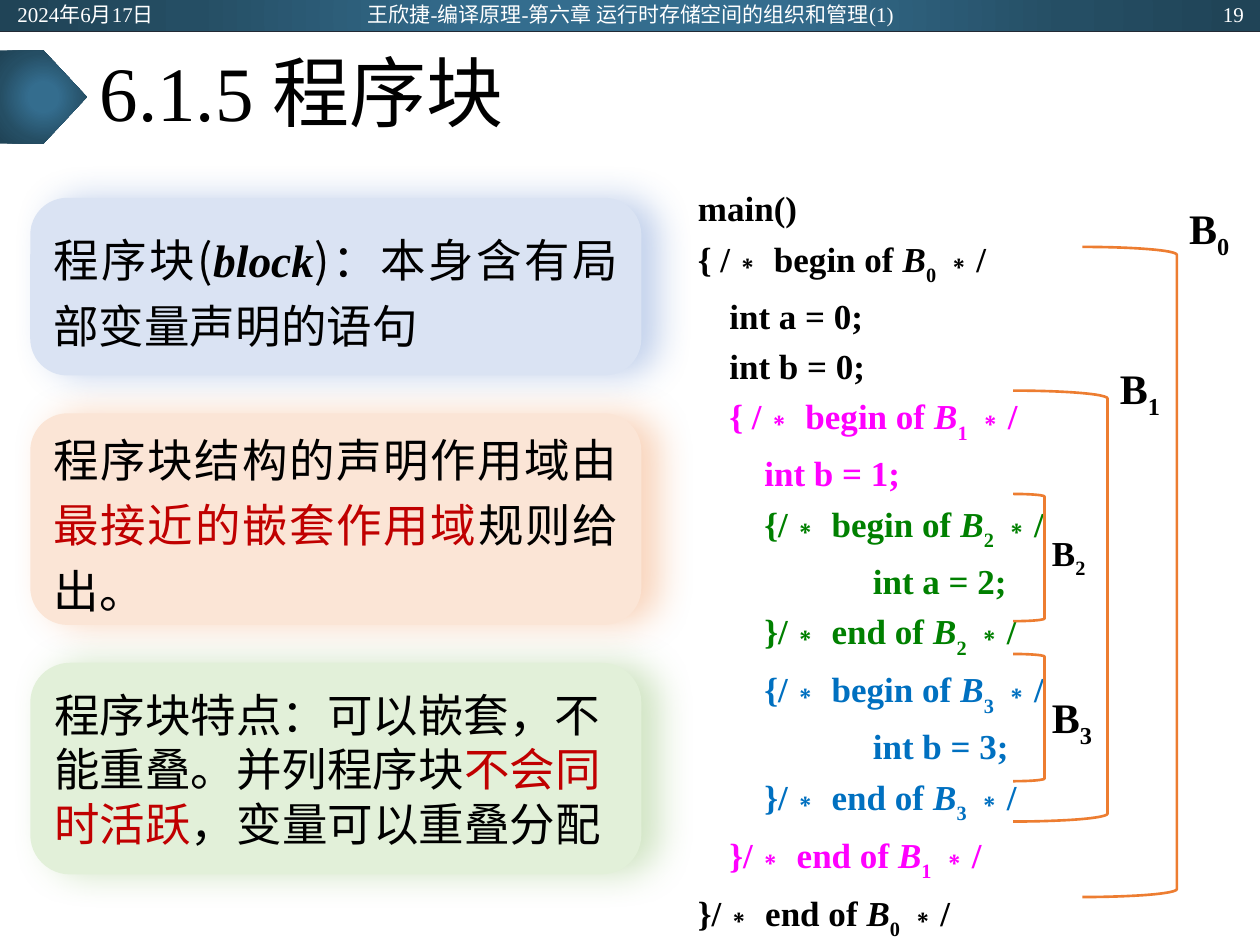
from dataclasses import dataclass

from lxml import etree
from pptx import Presentation
from pptx.dml.color import RGBColor
from pptx.enum.shapes import MSO_CONNECTOR, MSO_SHAPE
from pptx.enum.text import MSO_ANCHOR, PP_ALIGN
from pptx.oxml import parse_xml
from pptx.oxml.ns import qn
from pptx.util import Inches, Pt

RECT, PENTAGON = MSO_SHAPE.RECTANGLE, MSO_SHAPE.PENTAGON
ROUND, BRACKET = MSO_SHAPE.ROUNDED_RECTANGLE, MSO_SHAPE.RIGHT_BRACKET
LEFT, CENTER, RIGHT, JUSTIFY = PP_ALIGN.LEFT, PP_ALIGN.CENTER, PP_ALIGN.RIGHT, PP_ALIGN.JUSTIFY
MIDDLE, TOP = MSO_ANCHOR.MIDDLE, MSO_ANCHOR.TOP
DRAWING_NS = "http://schemas.openxmlformats.org/drawingml/2006/main"


@dataclass(frozen=True)
class Theme:
    """Colours, fonts and type sizes of the slide."""
    latin: str = "Times New Roman"
    cjk: str = "Noto Sans CJK SC"
    black: str = "000000"
    white: str = "FFFFFF"
    red: str = "C00000"
    magenta: str = "FF00FF"
    green: str = "008000"
    blue: str = "0070C0"
    orange: str = "ED7D31"
    rule: str = "222A35"
    gradient: tuple = ((0, "346D8E"), (23, "346D8E"), (69, "254E64"), (97, "204457"))
    title: int = 44
    card: int = 26
    label: int = 24
    code: int = 20
    header: int = 12


T = Theme()

CODE = [
    ("main()", None, T.black),
    ("{ /∗ begin of ", 0, T.black),
    ("\tint a = 0;", None, T.black),
    ("\tint b = 0;", None, T.black),
    ("\t{ /∗ begin of ", 1, T.magenta),
    ("\t    int b = 1;", None, T.magenta),
    ("\t    {/∗ begin of ", 2, T.green),
    ("\t\t  int a = 2;", None, T.green),
    ("\t    }/∗ end of ", 2, T.green),
    ("\t    {/∗ begin of ", 3, T.blue),
    ("\t\t  int b = 3;", None, T.blue),
    ("\t    }/∗ end of ", 3, T.blue),
    ("\t}/∗ end of ", 1, T.magenta),
    ("}/∗ end of ", 0, T.black),
]

BLOCKS = [
    ("2", (8.04, 3.92, 0.25, 1.01), (8.25, 4.17, 0.48, 0.44), T.code),
    ("3", (8.04, 5.19, 0.25, 1.01), (8.25, 5.44, 0.54, 0.5), T.label),
    ("1", (8.04, 3.1, 0.75, 3.42), (8.79, 2.83, 0.54, 0.5), T.label),
    ("0", (8.59, 1.96, 0.75, 5.16), (9.34, 1.56, 0.54, 0.5), T.label),
]

HEADERS = [
    ("2024年6月17日", (0.04, 0.01, 2.25, 0.2), LEFT),
    ("王欣捷-编译原理-第六章 运行时存储空间的组织和管理(1)", (2.51, -0.03, 4.99, 0.28), CENTER),
    ("19", (7.72, 0.01, 2.25, 0.2), RIGHT),
]

CARDS = [
    (1.57, 1.41, 0.208, "DAE3F3", "4472C4", JUSTIFY, 1.2,
     [("程序块(", {"font": T.cjk}), ("block", {"bold": True, "italic": True}),
      (")：本身含有局部变量声明的语句", {"font": T.cjk})]),
    (3.28, 1.68, 0.177, "FBE5D6", "ED7D31", JUSTIFY, 1.2,
     [("程序块结构的声明作用域由", {}), ("最接近的嵌套作用域", {"color": T.red}),
      ("规则给出。", {})]),
    (5.26, 1.68, 0.188, "E2F0D9", "70AD47", LEFT, 1.0,
     [("程序块特点：可以嵌套，不能重叠。并列程序块", {}),
      ("不会同时活跃", {"color": T.red}), ("，变量可以重叠分配", {})]),
]


def box(at):
    """Turn inches into lengths."""
    return [Inches(v) for v in at]


def add_run(p, text, size, color=T.black, font=T.latin, bold=False, italic=False, base=0):
    """Add one formatted run to a paragraph."""
    r = p.add_run()
    r.text = text
    r.font.size, r.font.name = Pt(size), font
    r.font.bold, r.font.italic = bold, italic
    r.font.color.rgb = RGBColor.from_string(color)
    rPr = r.font._element
    etree.SubElement(rPr, qn("a:ea")).set("typeface", T.cjk)
    if base:
        rPr.set("baseline", str(base * 1000))


def add_text(shapes, at, anchor=TOP, wrap=True):
    """Add a text box and return its text frame."""
    tf = shapes.add_textbox(*box(at)).text_frame
    tf.word_wrap, tf.vertical_anchor = wrap, anchor
    return tf


def add_shape(shapes, kind, at):
    """Add a preset shape with no shadow, fill or line."""
    sp = shapes.add_shape(kind, *box(at))
    sp.fill.background()
    sp.line.fill.background()
    sp.shadow.inherit = False
    return sp


def add_gradient_shape(s, kind, at):
    """Add a shape filled with the radial theme gradient."""
    spPr = add_shape(s.shapes, kind, at)._element.spPr
    stops = "".join(f'<a:gs pos="{pos * 1000}"><a:srgbClr val="{color}"/></a:gs>'
                    for pos, color in T.gradient)
    spPr.replace(spPr.find(qn("a:noFill")), parse_xml(
        f'<a:gradFill xmlns:a="{DRAWING_NS}"><a:gsLst>{stops}</a:gsLst><a:path path="circle">'
        '<a:fillToRect l="50000" t="50000" r="50000" b="50000"/></a:path></a:gradFill>'))


def add_rule(s):
    """Draw the line under the header bar."""
    line = s.shapes.add_connector(MSO_CONNECTOR.STRAIGHT, *box((0, 0.25, 10, 0.25)))
    line.line.color.rgb = RGBColor.from_string(T.rule)
    line.line.width = Pt(0.5)
    etree.SubElement(line._element.spPr, qn("a:effectLst"))


def add_title(s):
    """Place and fill the title."""
    sp = s.shapes.title
    sp.left, sp.top, sp.width, sp.height = box((0.69, 0.25, 8.62, 1.04))
    sp.text_frame.vertical_anchor = MIDDLE
    p = sp.text_frame.paragraphs[0]
    p.alignment, p.line_spacing = LEFT, 0.9
    add_run(p, "6.1.5 程序块", T.title)


def add_code(s):
    """Write the program listing with its block names."""
    tf = add_text(s.shapes, (5.44, 1.4, 4.25, 5.36))
    for i, (text, block, color) in enumerate(CODE):
        p = tf.add_paragraph() if i else tf.paragraphs[0]
        p.alignment, p.line_spacing = JUSTIFY, 1.1
        p.space_before = Pt(2 if i else 0)
        pPr = p._p.get_or_add_pPr()
        pPr.set("marL", str(Inches(0.25)))
        pPr.set("indent", str(Inches(-0.25)))
        pPr.set("defTabSz", str(Inches(1)))
        add_run(p, text, T.code, color, bold=True)
        if block is not None:
            add_run(p, "B", T.code, color, bold=True, italic=True)
            add_run(p, f"{block} ", T.code, color, bold=True, base=-30)
            add_run(p, "∗/", T.code, color, bold=True)


def add_block(s, number, bracket_at, label_at, size):
    """Group a block's bracket with its label."""
    shapes = s.shapes.add_group_shape().shapes
    sp = add_shape(shapes, BRACKET, bracket_at)
    sp.line.color.rgb = RGBColor.from_string(T.orange)
    sp.line.width = Pt(1.5)
    p = add_text(shapes, label_at, wrap=False).paragraphs[0]
    add_run(p, "B", size, bold=True)
    add_run(p, number, size, bold=True, base=-25)


def add_header(s, text, at, align):
    """Write one entry of the header bar."""
    p = add_text(s.shapes, at, MIDDLE).paragraphs[0]
    p.alignment = align
    add_run(p, text, T.header, T.white)


def add_card(s, top, height, radius, fill, glow, align, spacing, runs):
    """Add a rounded card with a soft coloured shadow."""
    sp = add_shape(s.shapes, ROUND, (0.24, top, 4.85, height))
    sp.adjustments[0] = radius
    sp.fill.solid()
    sp.fill.fore_color.rgb = RGBColor.from_string(fill)
    sp._element.spPr.find(qn("a:effectLst")).append(parse_xml(
        f'<a:outerShdw xmlns:a="{DRAWING_NS}" blurRad="{Pt(20)}" dist="{Pt(10)}" dir="0" '
        f'algn="l" rotWithShape="0"><a:srgbClr val="{glow}"><a:alpha val="32000"/>'
        '</a:srgbClr></a:outerShdw>'))
    tf = sp.text_frame
    tf.word_wrap, tf.vertical_anchor = True, MIDDLE
    p = tf.paragraphs[0]
    p.alignment, p.line_spacing = align, spacing
    for text, style in runs:
        add_run(p, text, T.card, **style)


def main():
    """Build the slide and save it."""
    prs = Presentation()
    prs.slide_width, prs.slide_height = Inches(10), Inches(7.5)
    s = prs.slides.add_slide(prs.slide_layouts[5])
    add_gradient_shape(s, RECT, (0, 0, 10, 0.25))
    add_rule(s)
    add_gradient_shape(s, PENTAGON, (0, 0.4, 0.69, 0.74))
    add_title(s)
    add_code(s)
    for block in BLOCKS:
        add_block(s, *block)
    for header in HEADERS:
        add_header(s, *header)
    for card in CARDS:
        add_card(s, *card)
    prs.save("out.pptx")


if __name__ == "__main__":
    main()
